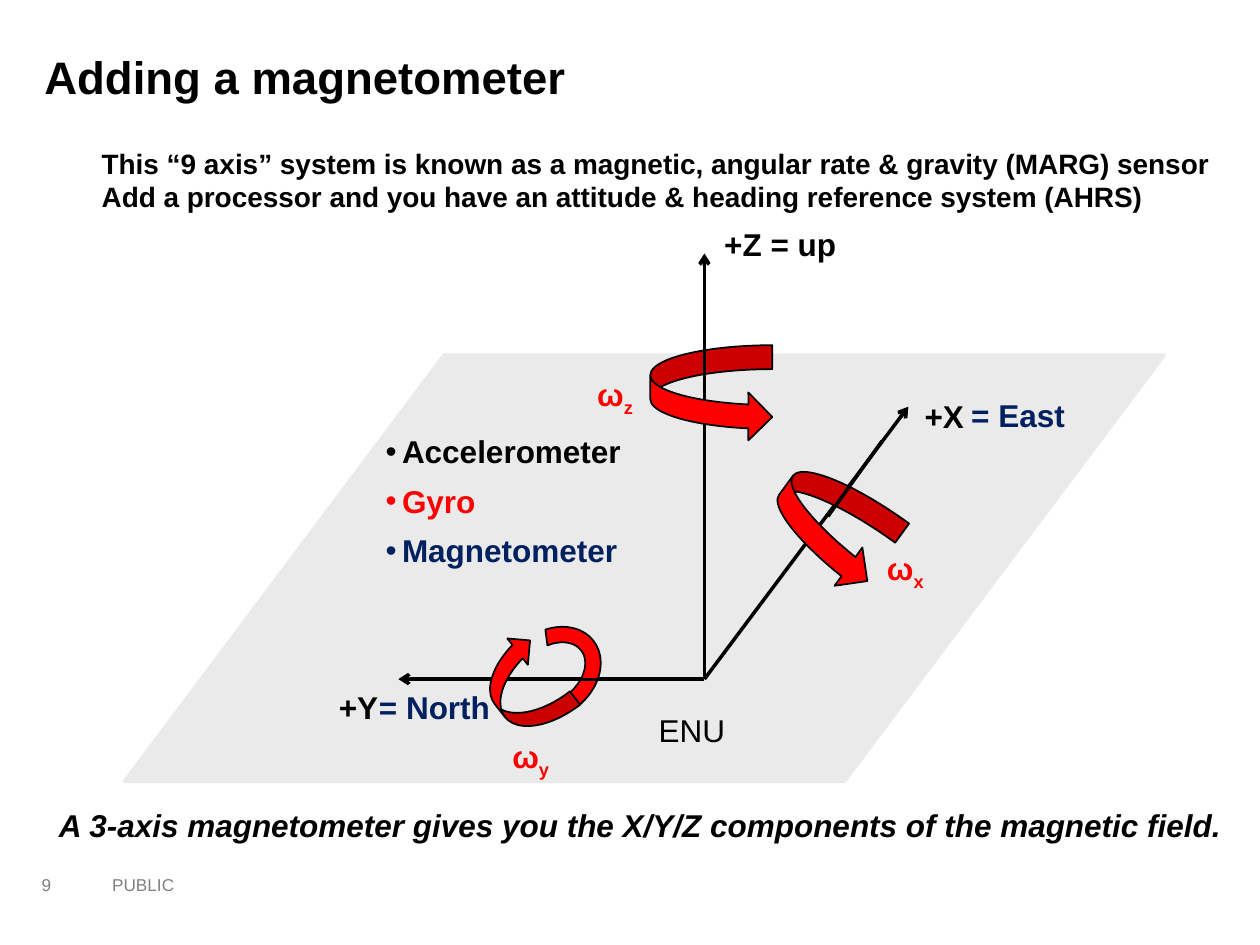
from lxml import etree
from pptx import Presentation
from pptx.dml.color import RGBColor
from pptx.enum import shapes, text
from pptx.oxml.ns import qn
from pptx.util import Cm, Pt

BLACK, RED, NAVY, GREY, PALE = "000000", "FF0000", "002060", "808080", "EAEAEA"
KIND = shapes.MSO_SHAPE

# All places are in cm: left, top, width, height
TITLE = "Adding a magnetometer"
NOTES = [
    "This “9 axis” system is known as a magnetic, angular rate & gravity (MARG) sensor",
    "Add a processor and you have an attitude & heading reference system (AHRS)",
]
CLOSE = "A 3-axis magnetometer gives you the X/Y/Z components of the magnetic field."
PARTS = [("Accelerometer", BLACK), ("Gyro", RED), ("Magnetometer", NAVY)]
ORIGIN = (14.2, 13.69)
TIPS = [(8.03, 13.69), (14.2, 5.11), (18.31, 8.2)]
# Stretches of each axis that pass in front of its turn arrow
FRONTS = [
    ((11.35, 13.7), (12.85, 13.7)),
    ((14.2, 6.68), (14.2, 7.59)),
    ((16.69, 10.41), (17.78, 8.89)),
]
LABELS = [
    ("+Y", 6.58, 13.74, 1.32, BLACK),
    ("+X", 18.39, 7.87, 1.32, BLACK),
    ("+Z = up", 14.35, 4.42, 2.79, BLACK),
    ("= North", 7.39, 13.74, 2.77, NAVY),
    ("= East", 19.33, 7.85, 2.41, NAVY),
]
RATES = [("z", 11.79, 7.44), ("x", 17.63, 10.95), ("y", 10.08, 14.73)]
TURNS = [
    # kind, place, rotation, flipped, adjustments
    (KIND.CURVED_RIGHT_ARROW, (13.11, 6.96, 2.46, 1.93), 0, False, ()),
    (KIND.CURVED_RIGHT_ARROW, (15.54, 9.65, 2.46, 1.91), 36, False, ()),
    (KIND.BLOCK_ARC, (10.26, 12.5, 1.7, 2.16), 232, True, (107.48, 197.71, 0.185)),
    (KIND.CURVED_RIGHT_ARROW, (9.88, 12.85, 1.35, 1.98), 322, True, ()),
]


def rgb(code):
    return RGBColor.from_string(code)


def style(font, size=18, color=BLACK, bold=True, italic=False):
    font.name, font.size = "Arial", Pt(size)
    font.bold, font.italic = bold, italic
    font.color.rgb = rgb(color)


def place(shape, box):
    shape.left, shape.top, shape.width, shape.height = map(Cm, box)


def write(slide, lines, box, wrap=False, sub="", **form):
    """Add a text box; sub is set as a subscript after the last line."""
    frame = slide.shapes.add_textbox(*map(Cm, box)).text_frame
    frame.word_wrap = wrap
    frame.text = "\n".join(lines)
    for para in frame.paragraphs:
        style(para.runs[0].font, **form)
    if sub:
        run = frame.paragraphs[-1].add_run()
        run.text = sub
        style(run.font, **form)
        run._r.get_or_add_rPr().set("baseline", "-25000")
    return frame


def shape(slide, kind, box, fill, line=None, width=1):
    item = slide.shapes.add_shape(kind, *map(Cm, box))
    item.shadow.inherit = False
    item.fill.solid()
    item.fill.fore_color.rgb = rgb(fill)
    if line:
        item.line.color.rgb = rgb(line)
        item.line.width = Pt(width)
    else:
        item.line.fill.background()
    return item


def stroke(slide, start, end, head=False):
    item = slide.shapes.add_connector(
        shapes.MSO_CONNECTOR.STRAIGHT, *map(Cm, start + end))
    item.line.color.rgb = rgb(BLACK)
    item.line.width = Pt(2)
    if head:
        etree.SubElement(item.line._get_or_add_ln(), qn("a:tailEnd"), type="arrow")
    etree.SubElement(item._element.spPr, qn("a:effectLst"))


def fill_title(title):
    place(title, (0.64, 0.76, 24.31, 1.83))
    frame = title.text_frame
    frame.text = TITLE
    frame.auto_size = text.MSO_AUTO_SIZE.NONE
    frame.vertical_anchor = text.MSO_ANCHOR.TOP
    frame.margin_top = Cm(0.22)
    para = frame.paragraphs[0]
    para.alignment = text.PP_ALIGN.LEFT
    style(para.runs[0].font, size=26)


def fill_list(body):
    place(body, (7.52, 8.59, 5.3, 3))
    frame = body.text_frame
    frame.word_wrap = False
    frame.auto_size = text.MSO_AUTO_SIZE.NONE
    frame.text = "\n".join(name for name, _ in PARTS)
    for i, (para, (_, color)) in enumerate(zip(frame.paragraphs, PARTS)):
        para.space_before = Pt(6.7 if i else 0)
        props = para._p.get_or_add_pPr()
        props.set("marL", str(Cm(0.33)))
        props.set("indent", str(-Cm(0.33)))
        etree.SubElement(props, qn("a:buChar"), char="•")
        style(para.runs[0].font, color=color)


def main():
    deck = Presentation()
    deck.slide_width, deck.slide_height = Cm(25.4), Cm(19.05)
    slide = deck.slides.add_slide(deck.slide_layouts[1])
    title, body = slide.placeholders
    fill_title(title)
    fill_list(body)

    plane = shape(slide, KIND.PARALLELOGRAM, (2.51, 7.16, 20.96, 8.59), PALE, PALE, 2)
    plane.adjustments[0] = 0.75
    plane._element.addnext(body._element)  # the list lies on the plane

    for tip in TIPS:
        stroke(slide, ORIGIN, tip, head=True)
    for label, left, top, width, color in LABELS:
        write(slide, [label], (left, top, width, 1.02), color=color)
    write(slide, ["ENU"], (13.03, 14.2, 3.02, 1.02), wrap=True, bold=False)
    for axis, left, top in RATES:
        write(slide, ["ω"], (left, top, 1.3, 1.02), sub=axis, color=RED)

    for kind, box, angle, flip, adjust in TURNS:
        turn = shape(slide, kind, box, RED, BLACK)
        turn.rotation = angle
        if flip:
            turn._element.spPr.xfrm.set("flipV", "1")
        for i, value in enumerate(adjust):
            turn.adjustments[i] = value
    for start, end in FRONTS:
        stroke(slide, start, end)

    write(slide, NOTES, (1.8, 2.82, 23.6, 2.51), wrap=True, size=16)
    write(slide, [CLOSE], (0.94, 16.13, 24.18, 1.02), italic=True)

    small = dict(wrap=True, size=9.8, color=GREY, bold=False)
    page = write(slide, ["9"], (0.69, 17.45, 1.24, 0.76), **small)
    page.vertical_anchor = text.MSO_ANCHOR.MIDDLE
    page.margin_left = page.margin_right = Cm(0.15)
    page.margin_top = page.margin_bottom = Cm(0.08)
    write(slide, ["PUBLIC"], (2.01, 17.5, 9.75, 0.86), **small)
    deck.save("out.pptx")


if __name__ == "__main__":
    main()
